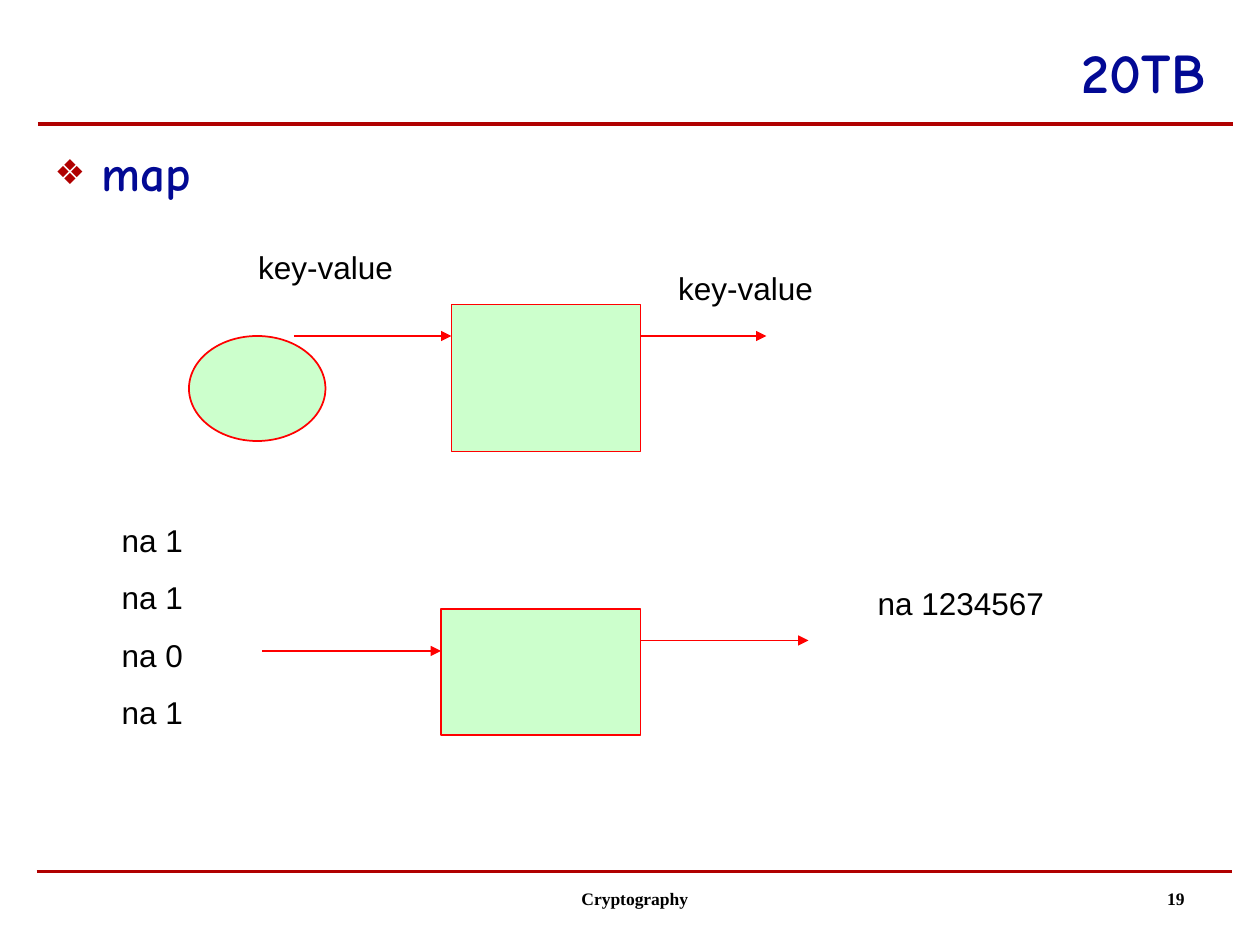
"""Build the map key-value slide."""
from typing import NamedTuple

from lxml import etree
from pptx import Presentation
from pptx.dml.color import RGBColor
from pptx.enum.shapes import MSO_CONNECTOR, MSO_SHAPE
from pptx.enum.text import MSO_ANCHOR, MSO_AUTO_SIZE, PP_ALIGN
from pptx.oxml.ns import qn
from pptx.util import Emu, Pt

STRAIGHT = MSO_CONNECTOR.STRAIGHT
RECT, OVAL = MSO_SHAPE.RECTANGLE, MSO_SHAPE.OVAL
LEFT, CENTER, RIGHT = PP_ALIGN.LEFT, PP_ALIGN.CENTER, PP_ALIGN.RIGHT
TOP, BOTTOM = MSO_ANCHOR.TOP, MSO_ANCHOR.BOTTOM
NO_FIT = MSO_AUTO_SIZE.NONE

PX = 7620
NAVY, CRIMSON, RED, MINT, BLACK = "020994", "B00000", "FF0000", "CCFFCC", "000000"


class Style(NamedTuple):
    font: str
    size: int
    color: str
    bold: bool


class Box(NamedTuple):
    x: int
    y: int
    w: int
    h: int


class Node(NamedTuple):
    kind: int
    box: Box


class Line(NamedTuple):
    x: int
    y: int
    length: int


class Label(NamedTuple):
    box: Box
    lines: list[str]
    style: Style
    align: int = CENTER
    indent: int = 0


TITLE = Style("Comic Neue", 32, NAVY, True)
BODY = Style("Comic Neue", 28, NAVY, True)
PLAIN = Style("Arial", 18, BLACK, False)
FOOTER = Style("Times New Roman", 10, BLACK, True)

RULES = [Line(35, 830, 1138), Line(36, 118, 1138)]
NODES = [
    Node(RECT, Box(430, 290, 180, 140)),
    Node(OVAL, Box(180, 320, 130, 100)),
    Node(RECT, Box(420, 580, 190, 120)),
]
ARROWS = [
    Line(280, 320, 150),
    Line(610, 320, 120),
    Line(250, 620, 170),
    Line(610, 610, 160),
]
LABELS = [
    Label(Box(230, 230, 160, 48), ["key-value"], PLAIN),
    Label(Box(630, 250, 160, 48), ["key-value"], PLAIN),
    Label(Box(60, 490, 170, 212), ["na 1", "na 1", "na 0", "na 1"], PLAIN),
    Label(Box(790, 550, 250, 48), ["na 1234567"], PLAIN),
    Label(Box(400, 840, 380, 60), ["Cryptography"], FOOTER, CENTER, 29),
    Label(Box(860, 840, 280, 55), ["19"], FOOTER, RIGHT, 29),
]


def px(n: int) -> Emu:
    """Turn px into EMU."""
    return Emu(n * PX)


def rgb(value: str) -> RGBColor:
    """Turn a hex string into a colour."""
    return RGBColor.from_string(value)


def add_run(p, text: str, style: Style) -> None:
    """Add one styled run to a paragraph."""
    r = p.add_run()
    r.text = text
    r.font.name = style.font
    r.font.size = Pt(style.size)
    r.font.bold = style.bold
    r.font.color.rgb = rgb(style.color)


def add_line(slide, line: Line, color: str, width: int, arrow: bool = False) -> None:
    """Draw a horizontal line, with an arrowhead at its end if asked."""
    x, y, length = line
    cxn = slide.shapes.add_connector(STRAIGHT, px(x), px(y), px(x + length), px(y))
    cxn.line.color.rgb = rgb(color)
    cxn.line.width = Pt(width)
    if arrow:
        ln = cxn.line._get_or_add_ln()
        etree.SubElement(ln, qn("a:tailEnd"), type="triangle")
    etree.SubElement(cxn._element.spPr, qn("a:effectLst"))


def add_node(slide, node: Node) -> None:
    """Draw a filled and outlined shape."""
    sp = slide.shapes.add_shape(node.kind, *map(px, node.box))
    sp.shadow.inherit = False
    sp.fill.solid()
    sp.fill.fore_color.rgb = rgb(MINT)
    sp.line.color.rgb = rgb(RED)
    sp.line.width = Pt(1)


def add_label(slide, label: Label) -> None:
    """Draw a text box with one paragraph per line."""
    tf = slide.shapes.add_textbox(*map(px, label.box)).text_frame
    tf.word_wrap = True
    for i, text in enumerate(label.lines):
        p = tf.add_paragraph() if i else tf.paragraphs[0]
        p.alignment = label.align
        if i:
            p.space_before = Pt(11.2)
        if label.indent:
            p._p.get_or_add_pPr().set("marL", str(px(label.indent)))
        add_run(p, text, label.style)


def fill_placeholder(sp, box: Box, text: str, style: Style, align: int, anchor: int):
    """Move a placeholder, write its text and return the paragraph."""
    sp.left, sp.top, sp.width, sp.height = map(px, box)
    tf = sp.text_frame
    tf.auto_size = NO_FIT
    tf.vertical_anchor = anchor
    p = tf.paragraphs[0]
    p.alignment = align
    p.space_before = Pt(0)
    add_run(p, text, style)
    return p


def add_bullet(p, char: str, color: str, percent: int, indent: int) -> None:
    """Give a paragraph a coloured hanging bullet."""
    pPr = p._p.get_or_add_pPr()
    pPr.set("marL", str(px(indent)))
    pPr.set("indent", str(px(-indent)))
    clr = etree.SubElement(pPr, qn("a:buClr"))
    etree.SubElement(clr, qn("a:srgbClr"), val=color)
    etree.SubElement(pPr, qn("a:buSzPct"), val=str(percent * 1000))
    etree.SubElement(pPr, qn("a:buChar"), char=char)


def main() -> None:
    """Build and save the slide."""
    prs = Presentation()
    prs.slide_width, prs.slide_height = px(1200), px(900)
    slide = prs.slides.add_slide(prs.slide_layouts[1])
    title, body = slide.placeholders
    fill_placeholder(title, Box(330, 30, 830, 76), "20TB", TITLE, RIGHT, BOTTOM)
    p = fill_placeholder(body, Box(40, 130, 1130, 690), "map", BODY, LEFT, TOP)
    add_bullet(p, "❖", CRIMSON, 70, 45)
    for rule in RULES:
        add_line(slide, rule, CRIMSON, 2)
    for node in NODES:
        add_node(slide, node)
    for arrow in ARROWS:
        add_line(slide, arrow, RED, 1, arrow=True)
    for label in LABELS:
        add_label(slide, label)
    prs.save("out.pptx")


if __name__ == "__main__":
    main()
